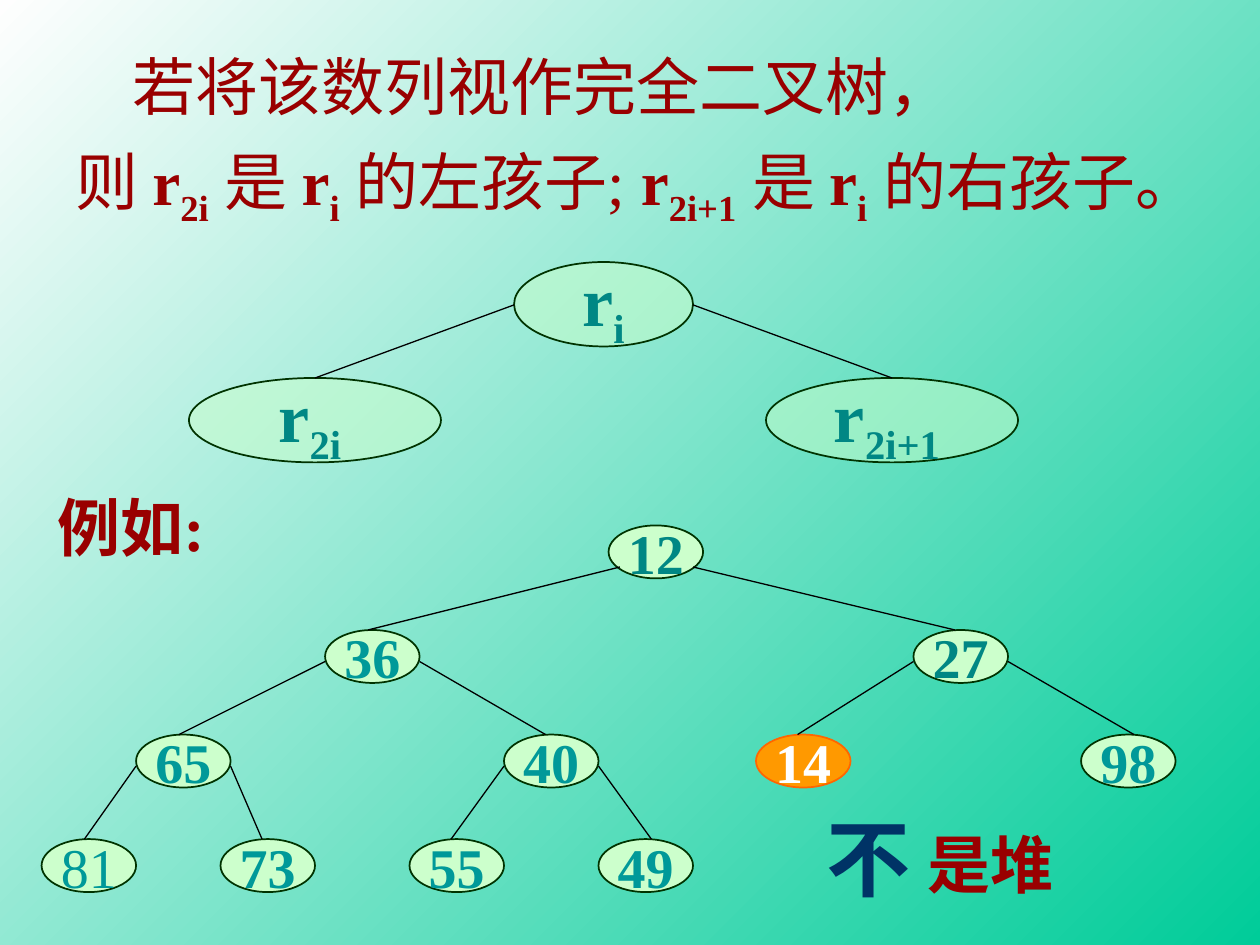
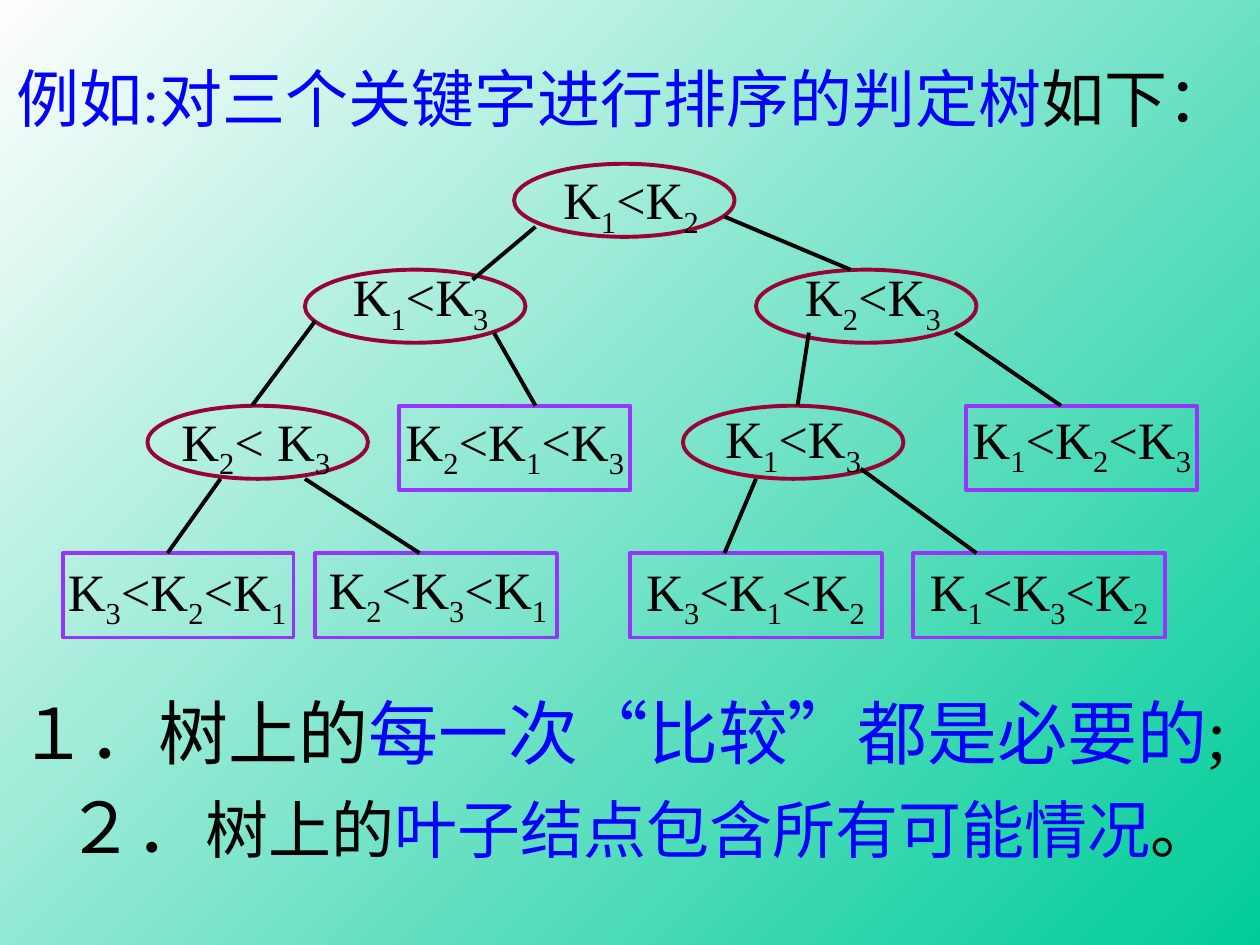
import pptx
import pptx.dml.color
import pptx.enum.shapes
import pptx.enum.text
import pptx.oxml
import pptx.oxml.ns
import pptx.util

Inches = pptx.util.Inches
Pt = pptx.util.Pt
RGBColor = pptx.dml.color.RGBColor
SHAPE = pptx.enum.shapes.MSO_SHAPE

# Shared style
FONT = "Times New Roman"
BLACK = RGBColor(0x00, 0x00, 0x00)
WHITE = RGBColor(0xFF, 0xFF, 0xFF)
NEAR_WHITE = RGBColor(0xFE, 0xFE, 0xFE)
GREEN = RGBColor(0x00, 0xCC, 0x99)
PALE_GREEN = RGBColor(0xCC, 0xFF, 0xCC)
DARK_GREEN = RGBColor(0x00, 0x33, 0x00)
DEEP_TEAL = RGBColor(0x00, 0x87, 0x84)
TEAL = RGBColor(0x00, 0x99, 0x99)
RED = RGBColor(0x99, 0x00, 0x00)
NAVY = RGBColor(0x00, 0x33, 0x66)
BLUE = RGBColor(0x00, 0x00, 0xFF)
ORANGE = RGBColor(0xFF, 0x99, 0x00)
DARK_ORANGE = RGBColor(0xFF, 0x66, 0x00)
CRIMSON = RGBColor(0x99, 0x00, 0x33)
PURPLE = RGBColor(0x99, 0x33, 0xFF)
THIN, THICK = 0.74, 2.24
OUTLINE = 0.99

# A run is (text, size, colour, bold); inside text, |...| is a subscript.

# Slide 1: the heap as a complete binary tree
INTRO = [
    [("若将该数列视作完全二叉树，", 36, RED, False)],
    [(text, 36, RED, bold) for text, bold in [
        ("则 ", False), ("r|2i| ", True), ("是 ", False), ("r|i| ", True),
        ("的左孩子; ", False), ("r|2i+1| ", True), ("是 ", False),
        ("r|i| ", True), ("的右孩子。", False)]],
]
FAMILY = [  # label, left, top, width
    ("r|i|", 4.08, 2.08, 1.42),
    ("r|2i |", 1.5, 3, 2),
    ("r|2i+1 |", 6.08, 3, 2),
]
FAMILY_HEIGHT = 0.67
FAMILY_EDGES = [(4.08, 2.42, 2.5, 3), (5.5, 2.42, 7.08, 3)]

HEAP_ROWS = [  # (value, left) for each level
    [(12, 4.83)],
    [(36, 2.58), (27, 7.25)],
    [(65, 1.08), (40, 4), (14, 6), (98, 8.58)],
    [(81, 0.33), (73, 1.75), (55, 3.25), (49, 4.75)],
]
HEAP_EDGES = [  # (parent x, child x) from each level to the next
    [(4.92, 2.92), (5.5, 7.58)],
    [(2.58, 1.42), (3.33, 4.33), (7.25, 6.33), (8, 9)],
    [(1.08, 0.67), (1.83, 2.08), (4, 3.58), (4.75, 5.17)],
]
HEAP_TOP, HEAP_STEP = 4.17, 0.83
HEAP_NODE = (0.75, 0.42)
EDGE_DROPS = [0.33, 0.25, 0.25]  # edge start below the top of its level
DEEP_VALUES, PLAIN_VALUES, WRONG_VALUE = {12, 27}, {81}, 14

HEAP_CAPTIONS = [  # box, run
    ((0.36, 3.83, 1.48, 0.7), ("例如:", 36, RED, True)),
    ((7.26, 6.5, 1.2, 0.7), ("是堆", 36, RED, True)),
    ((6.46, 6.35, 0.86, 0.9), ("不", 48, NAVY, True)),
]

# Slide 2: decision tree for sorting three keys
TITLE = [("例如:对三个关键字进行排序的判定树", 36, BLUE, False),
         ("如下：", 36, BLACK, False)]
COMPARISONS = [  # left, top, label, label box (None: inside the oval)
    (2.42, 2.14, "K|1|<K|3|", (2.7, 2.05, 1.28)),
    (4.08, 1.3, "K|1|<K|2|", (4.37, 1.28, 1.28)),
    (6, 2.14, "K|2|<K|3|", (6.29, 2.05, 1.28)),
    (5.42, 3.22, "K|1|<K|3|", None),
    (1.17, 3.22, "K|2|< K|3|", (1.34, 3.2, 1.38)),
]
COMPARISON_SIZE = (1.75, 0.58)
ORDERINGS = [  # left, top, width, label, label left, label top
    (3.17, 3.22, 1.83, "K|2|<K|1|<K|3|", 3.12, 3.2),
    (7.67, 3.22, 1.83, "K|1|<K|2|<K|3|", 7.62, 3.18),
    (0.5, 4.39, 1.83, "K|3|<K|2|<K|1|", 0.44, 4.39),
    (2.5, 4.39, 1.92, "K|2|<K|3|<K|1|", 2.51, 4.37),
    (5, 4.39, 2, "K|3|<K|1|<K|2|", 5.03, 4.39),
    (7.25, 4.39, 2, "K|1|<K|3|<K|2|", 7.28, 4.39),
]
ORDERING_HEIGHT, ORDERING_LABEL_WIDTH = 0.67, 1.93
DECISION_EDGES = [
    (4.25, 1.8, 3.75, 2.22), (5.75, 1.72, 6.75, 2.14),
    (2.5, 2.55, 2, 3.22), (3.92, 2.64, 4.25, 3.22),
    (6.42, 2.64, 6.33, 3.22), (7.58, 2.64, 8.42, 3.22),
    (1.75, 3.8, 1.33, 4.39), (2.42, 3.8, 3.33, 4.39),
    (6, 3.8, 5.75, 4.39), (6.83, 3.72, 7.75, 4.39),
]
CONCLUSIONS = [  # box, runs
    ((0.05, 5.42, 9.92, 0.77),
     [("１．树上的", 40, BLACK, False),
      ("每一次“比较”都是必要的", 40, BLUE, False),
      (";", 40, BLACK, False)]),
    ((0.42, 6.17, 9.31, 0.77),
     [("２．", 40, BLACK, False), ("树上的", 36, BLACK, False),
      ("叶子结点包含所有可能情况", 36, BLUE, False),
      ("。", 36, BLACK, False)]),
]


def add_slide():
    slide = presentation.slides.add_slide(presentation.slide_layouts[6])
    fill = slide.background.fill
    fill.gradient()
    fill.gradient_angle = 135
    for stop, colour in zip(fill.gradient_stops, (GREEN, NEAR_WHITE)):
        stop.color.rgb = colour
    return slide


def add_runs(paragraph, runs):
    for text, size, colour, bold in runs:
        for index, piece in enumerate(text.split("|")):
            if not piece:
                continue
            run = paragraph.add_run()
            run.text = piece
            run.font.name = FONT
            run.font.size = Pt(size)
            run.font.bold = bold
            run.font.color.rgb = colour
            if index % 2:
                run.font._element.set("baseline", "-25000")


def add_text(slide, box, paragraphs, wrap=False, space_before=0, indent=0):
    """Text box; the indent applies to the first line of the first paragraph."""
    frame = slide.shapes.add_textbox(*map(Inches, box)).text_frame
    frame.word_wrap = wrap
    frame.auto_size = pptx.enum.text.MSO_AUTO_SIZE.SHAPE_TO_FIT_TEXT
    if not wrap:  # spare room keeps a tight label on one line
        frame.margin_right = Inches(0.05)
    for index, runs in enumerate(paragraphs):
        paragraph = frame.add_paragraph() if index else frame.paragraphs[0]
        paragraph.space_before = Pt(space_before)
        if indent and index == 0:
            paragraph._p.get_or_add_pPr().set("indent", str(Inches(indent)))
        add_runs(paragraph, runs)


def add_node(slide, kind, box, line, width, fill=None, alpha=None, runs=()):
    shape = slide.shapes.add_shape(kind, *map(Inches, box))
    shape.shadow.inherit = False
    shape.line.color.rgb = line
    shape.line.width = Pt(width)
    if fill is None:
        shape.fill.background()
    else:
        shape.fill.solid()
        shape.fill.fore_color.rgb = fill
    if alpha is not None:
        colour = shape._element.spPr.find(".//" + pptx.oxml.ns.qn("a:srgbClr"))
        colour.append(pptx.oxml.parse_xml(
            f'<a:alpha {pptx.oxml.ns.nsdecls("a")} val="{alpha * 1000}"/>'))
    frame = shape.text_frame
    frame.word_wrap = False
    frame.vertical_anchor = pptx.enum.text.MSO_ANCHOR.MIDDLE
    frame.paragraphs[0].alignment = pptx.enum.text.PP_ALIGN.CENTER
    add_runs(frame.paragraphs[0], runs)


def add_edge(slide, ends, width):
    edge = slide.shapes.add_connector(
        pptx.enum.shapes.MSO_CONNECTOR.STRAIGHT, *map(Inches, ends))
    edge.line.color.rgb = BLACK
    edge.line.width = Pt(width)
    edge._element.spPr.append(pptx.oxml.parse_xml(
        f'<a:effectLst {pptx.oxml.ns.nsdecls("a")}/>'))


presentation = pptx.Presentation()
presentation.slide_width = Inches(10)
presentation.slide_height = Inches(7.5)

# Slide 1: parent and children
slide = add_slide()
for label, left, top, width in FAMILY:
    add_node(slide, SHAPE.OVAL, (left, top, width, FAMILY_HEIGHT), DARK_GREEN,
             OUTLINE, PALE_GREEN, 50, [(label, 40, DEEP_TEAL, True)])
for ends in FAMILY_EDGES:
    add_edge(slide, ends, THIN)
add_text(slide, (0.5, 0.33, 9.17, 2.14), INTRO, wrap=True,
         space_before=11.2, indent=0.45)

# Slide 1: example tree
tops = [HEAP_TOP + HEAP_STEP * level for level in range(len(HEAP_ROWS))]
for top, row in zip(tops, HEAP_ROWS):
    for value, left in row:
        fill, line, colour = PALE_GREEN, DARK_GREEN, TEAL
        if value in DEEP_VALUES:
            colour = DEEP_TEAL
        elif value == WRONG_VALUE:
            fill, line, colour = ORANGE, DARK_ORANGE, WHITE
        add_node(slide, SHAPE.OVAL, (left, top, *HEAP_NODE), line, OUTLINE, fill,
                 runs=[(str(value), 32, colour, value not in PLAIN_VALUES)])
for level, edges in enumerate(HEAP_EDGES):
    for parent_x, child_x in edges:
        add_edge(slide, (parent_x, tops[level] + EDGE_DROPS[level],
                         child_x, tops[level + 1]), THIN)
for box, run in HEAP_CAPTIONS:
    add_text(slide, box, [[run]])

# Slide 2: title and decision tree
slide = add_slide()
add_text(slide, (-0.31, 0.42, 10.83, 0.7), [TITLE], wrap=True, indent=0.34)
labels = []
for left, top, label, label_box in COMPARISONS:
    runs = [(label, 30, BLACK, False)]
    add_node(slide, SHAPE.OVAL, (left, top, *COMPARISON_SIZE), CRIMSON, THICK,
             runs=() if label_box else runs)
    if label_box:
        labels.append(((*label_box, ORDERING_HEIGHT), runs))
for left, top, width, label, label_left, label_top in ORDERINGS:
    add_node(slide, SHAPE.RECTANGLE, (left, top, width, ORDERING_HEIGHT),
             PURPLE, THICK)
    labels.append(((label_left, label_top, ORDERING_LABEL_WIDTH,
                    ORDERING_HEIGHT), [(label, 30, BLACK, False)]))
for box, runs in labels:
    add_text(slide, box, [runs])
for ends in DECISION_EDGES:
    add_edge(slide, ends, THICK)

# Slide 2: conclusions
for box, runs in CONCLUSIONS:
    add_text(slide, box, [runs])

presentation.save("out.pptx")
